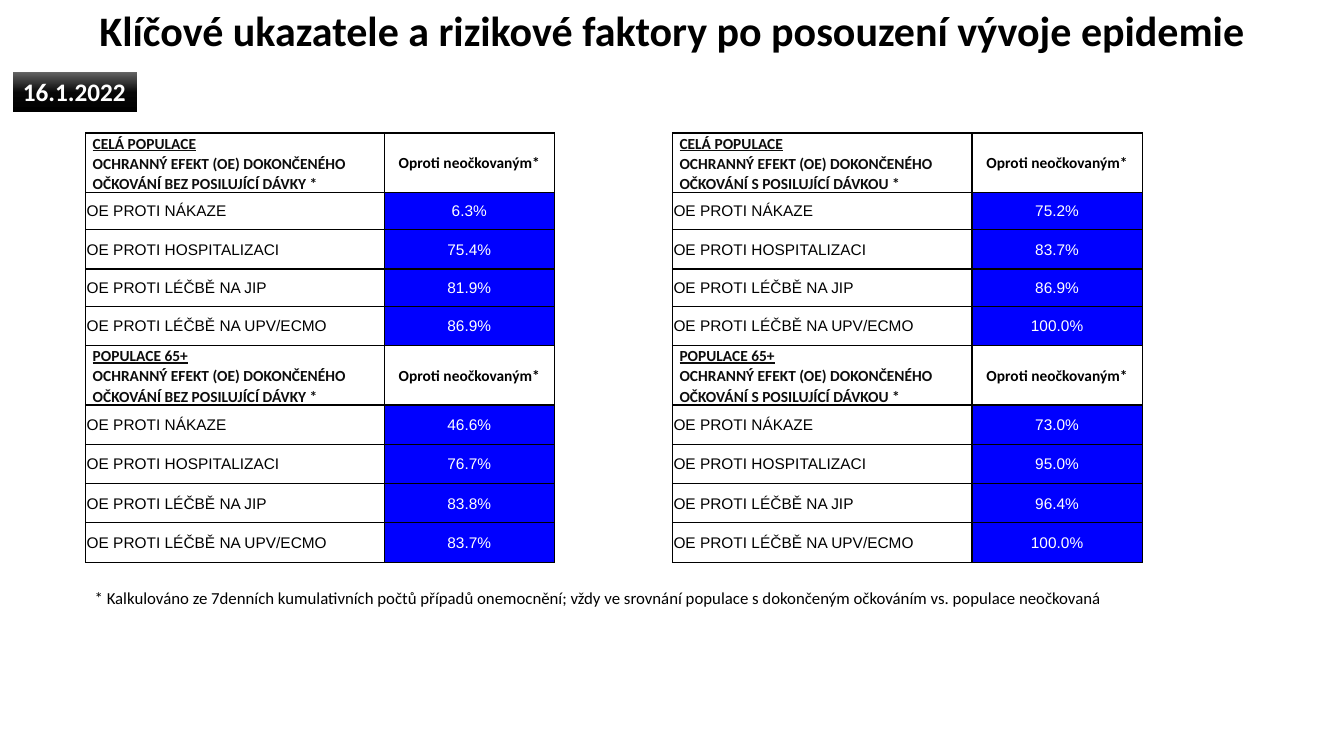
import pptx
import pptx.util
import pptx.dml.color
import pptx.enum.shapes
import pptx.enum.text
import pptx.oxml
import pptx.oxml.ns

Inches, Pt = pptx.util.Inches, pptx.util.Pt
ALIGN = pptx.enum.text.PP_ALIGN
MIDDLE = pptx.enum.text.MSO_ANCHOR.MIDDLE
NS = pptx.oxml.ns.nsdecls("a")
COLORS = {"black": "000000", "ink": "0D0D0D", "white": "FFFFFF",
          "blue": "0000FF", "soot": "080808", "gray": "666666"}


def style(para, size, color, face="Calibri", bold=False, align=ALIGN.LEFT):
    font = para.font
    font.size, font.name, font.bold = Pt(size), face, bold
    font.color.rgb = pptx.dml.color.RGBColor.from_string(COLORS[color])
    para.alignment = align


def dress(cell, fill, pad):
    """Set fill, margins, anchor and black borders of a table cell."""
    cell.margin_left = cell.margin_right = Inches(pad)
    cell.margin_top = Inches(0.01 if pad < 0.05 else 0)
    cell.margin_bottom = 0
    cell.vertical_anchor = MIDDLE
    props = cell._tc.get_or_add_tcPr()
    for side in ("lnL", "lnR", "lnT", "lnB"):
        props.append(pptx.oxml.parse_xml(
            f'<a:{side} {NS} w="12700"><a:solidFill>'
            f'<a:srgbClr val="{COLORS["black"]}"/></a:solidFill></a:{side}>'))
    cell.fill.solid()
    cell.fill.fore_color.rgb = pptx.dml.color.RGBColor.from_string(COLORS[fill])


deck = pptx.Presentation()
deck.slide_width, deck.slide_height = Inches(13.33), Inches(7.5)
slide = deck.slides.add_slide(deck.slide_layouts[6])
shapes = slide.shapes

# Title and footnote
texts = [
    ("Klíčové ukazatele a rizikové faktory po posouzení vývoje epidemie",
     (0.17, 0, 13, 0.61), 30, True, ALIGN.CENTER),
    ("* Kalkulováno ze 7denních kumulativních počtů případů onemocnění; "
     "vždy ve srovnání populace s dokončeným očkováním vs. populace neočkovaná",
     (0.84, 5.78, 10.48, 0.3), 12, False, ALIGN.LEFT),
]
for text, place, size, bold, align in texts:
    box = shapes.add_textbox(*map(Inches, place))
    box.text_frame.word_wrap = True
    para = box.text_frame.paragraphs[0]
    para.text = text
    style(para, size, "black", bold=bold, align=align)

# Date badge
badge = shapes.add_shape(pptx.enum.shapes.MSO_SHAPE.RECTANGLE,
                         Inches(0.13), Inches(0.71), Inches(1.23), Inches(0.4))
badge.shadow.inherit = False
badge.line.fill.background()
stops = "".join(f'<a:gs pos="{pos}000"><a:srgbClr val="{COLORS[name]}"/></a:gs>'
                for pos, name in ((0, "black"), (48, "soot"), (100, "gray")))
badge._element.spPr.find(pptx.oxml.ns.qn("a:prstGeom")).addnext(
    pptx.oxml.parse_xml(f'<a:gradFill {NS} rotWithShape="1"><a:gsLst>{stops}'
                        '</a:gsLst><a:lin ang="16200000" scaled="0"/></a:gradFill>'))
badge.text_frame.word_wrap = False
para = badge.text_frame.paragraphs[0]
para.text = "16.1.2022"
style(para, 18, "white", bold=True)

# Tables of protective effect
groups = ["CELÁ POPULACE", "POPULACE 65+"]
risks = ["NÁKAZE", "HOSPITALIZACI", "LÉČBĚ NA JIP", "LÉČBĚ NA UPV/ECMO"]
heights = [0.58, 0.37, 0.39, 0.37, 0.39, 0.59] + [0.39] * 4
tables = [
    (0.85, 2.96, "BEZ POSILUJÍCÍ DÁVKY",
     [["6.3%", "75.4%", "81.9%", "86.9%"], ["46.6%", "76.7%", "83.8%", "83.7%"]]),
    (6.67, 2.97, "S POSILUJÍCÍ DÁVKOU",
     [["75.2%", "83.7%", "86.9%", "100.0%"], ["73.0%", "95.0%", "96.4%", "100.0%"]]),
]
for left, wide, dose, values in tables:
    table = shapes.add_table(len(heights), 2, Inches(left), Inches(1.32),
                             Inches(wide + 1.69), Inches(sum(heights))).table
    table.first_row = table.horz_banding = False
    table.columns[0].width, table.columns[1].width = Inches(wide), Inches(1.69)
    for row, height in zip(table.rows, heights):
        row.height = Inches(height)

    for part, group in enumerate(groups):
        top = part * (len(risks) + 1)
        head, versus = table.cell(top, 0), table.cell(top, 1)
        dress(head, "white", 0.07)
        head.text = f"{group}\nOCHRANNÝ EFEKT (OE) DOKONČENÉHO OČKOVÁNÍ {dose} *"
        for para in head.text_frame.paragraphs:
            style(para, 11, "ink", bold=True)
            para.line_spacing = 1.07
        head.text_frame.paragraphs[0].runs[0].font.underline = True
        dress(versus, "white", 0.01)
        versus.text = "Oproti neočkovaným*"
        style(versus.text_frame.paragraphs[0], 11, "black",
              bold=True, align=ALIGN.CENTER)

        for row, (risk, value) in enumerate(zip(risks, values[part]), top + 1):
            label, share = table.cell(row, 0), table.cell(row, 1)
            dress(label, "white", 0.01)
            label.text = f"OE PROTI {risk}"
            style(label.text_frame.paragraphs[0], 11, "black", "Arial")
            dress(share, "blue", 0.01)
            share.text = value
            style(share.text_frame.paragraphs[0], 11, "white", "Arial",
                  align=ALIGN.CENTER)

deck.save("out.pptx")
